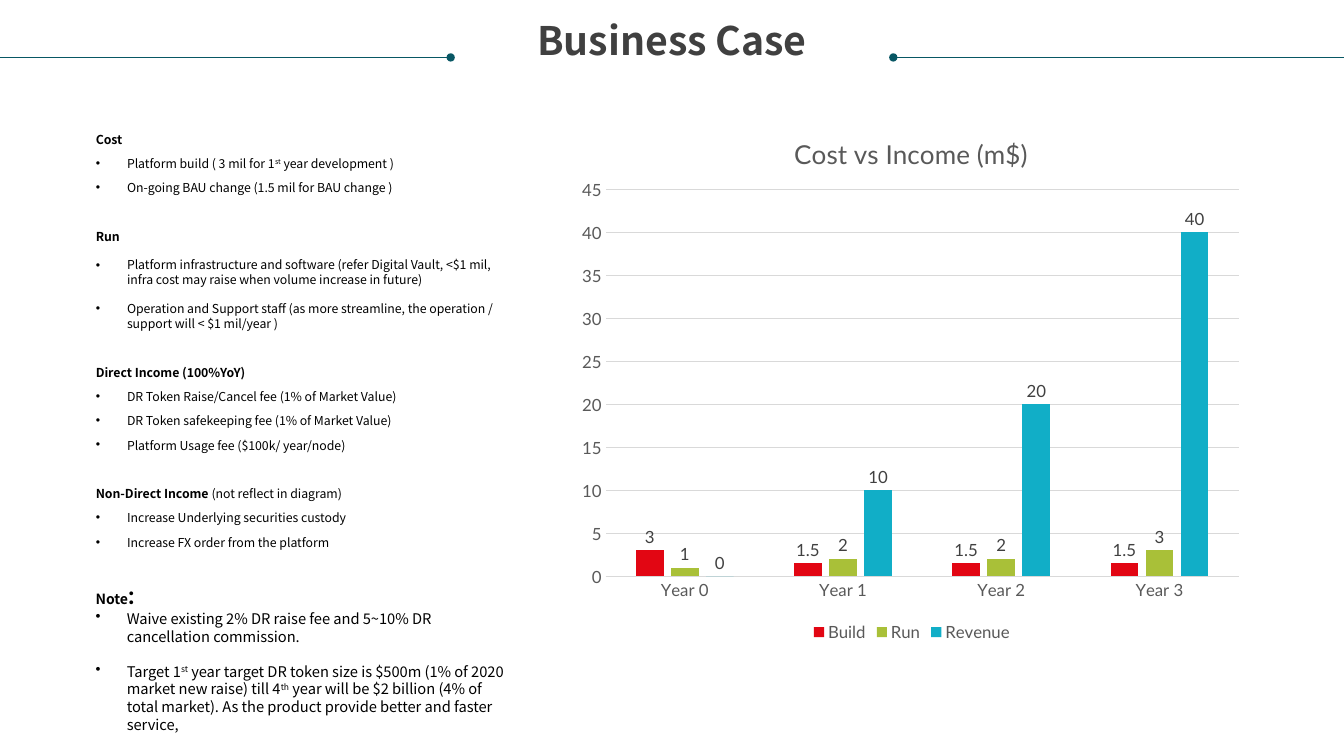
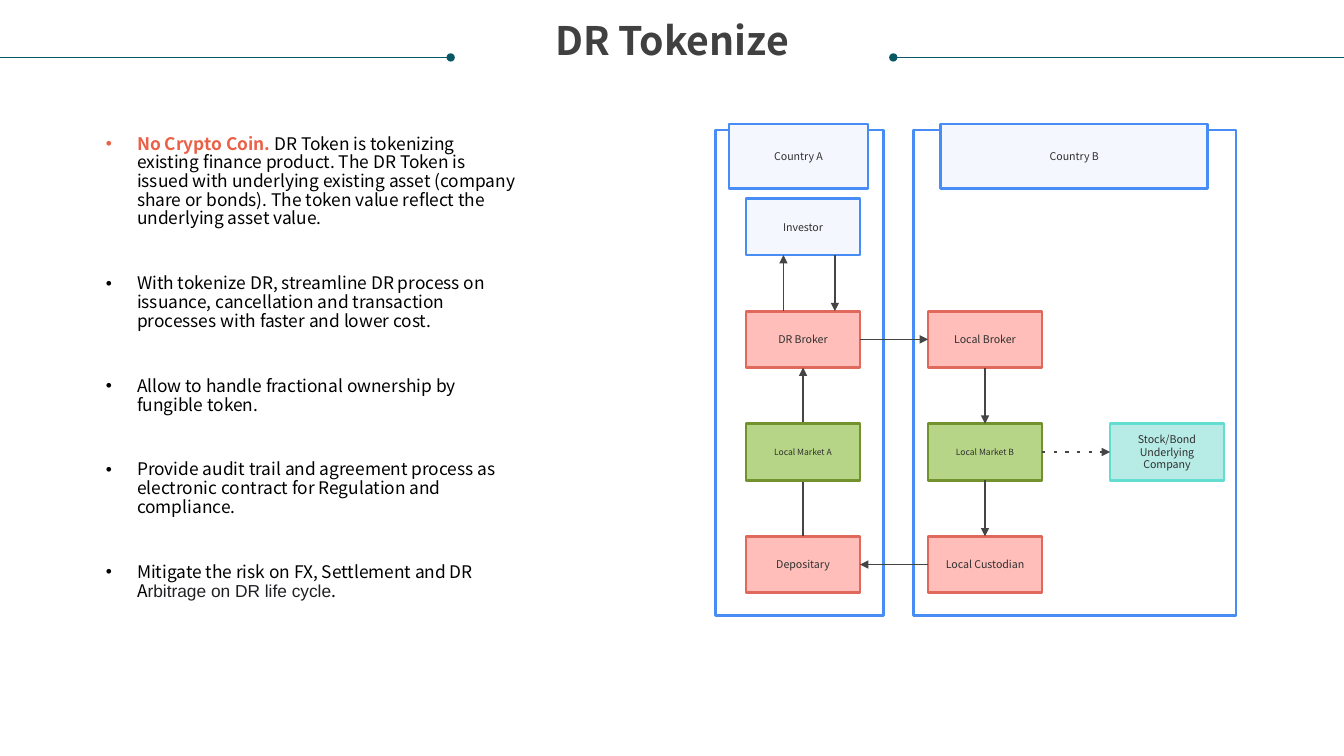
from dataclasses import dataclass
from typing import Optional

from lxml import etree
from pptx import Presentation
from pptx.chart.data import CategoryChartData
from pptx.dml.color import RGBColor
from pptx.enum.chart import XL_CHART_TYPE as ChartType
from pptx.enum.chart import XL_LABEL_POSITION as LabelPosition
from pptx.enum.chart import XL_LEGEND_POSITION as LegendPosition
from pptx.enum.chart import XL_TICK_MARK as TickMark
from pptx.enum.shapes import MSO_CONNECTOR as Connector
from pptx.enum.shapes import MSO_SHAPE as ShapeKind
from pptx.enum.text import MSO_ANCHOR as Anchor
from pptx.enum.text import MSO_AUTO_SIZE as AutoSize
from pptx.enum.text import PP_ALIGN as Align
from pptx.oxml.ns import qn
from pptx.util import Inches, Pt

TEXT_FONT = "Noto Sans CJK SC"
CHART_FONT = "Lato"
BLACK, TITLE_GREY, AXIS_GREY, GRID_GREY = "000000", "404040", "595959", "D9D9D9"
TEAL, CORAL, ARROW_GREY, NODE_TEXT = "085764", "EB6047", "454545", "303030"
BLUE = ("F4F7FE", "488DF5")
RED = ("FFBEB9", "E1695C")
GREEN = ("B7D587", "73922E")
AQUA = ("B7EBE5", "63DCD2")
TOP, LEFT, BOTTOM, RIGHT = range(4)
BULLET_INDENT = Inches(0.31)


@dataclass
class Run:
    text: str
    bold: bool = False
    color: str = BLACK
    font: str = TEXT_FONT
    size: Optional[float] = None
    superscript: bool = False


@dataclass
class Line:
    runs: list[Run]
    bullet: bool = True
    before: float = 10
    spacing: float = 1.0


@dataclass
class Node:
    name: str
    left: float
    top: float
    colors: tuple[str, str]
    width: float = 1.13
    height: float = 0.56
    size: float = 7.6


@dataclass
class Link:
    start: str
    start_side: int
    end: str
    end_side: int
    dashed: bool = False


def rgb(color: str) -> RGBColor:
    return RGBColor.from_string(color)


def style_font(font, *, size: float, color: str, name: str = TEXT_FONT, bold: bool = False) -> None:
    font.name, font.size, font.bold = name, Pt(size), bold
    font.color.rgb = rgb(color)


def add_text(paragraph, text: str, *, superscript: bool = False, **style) -> None:
    run = paragraph.add_run()
    run.text = text
    style_font(run.font, **style)
    if superscript:
        run.font._element.set("baseline", "30000")


def set_bullet(paragraph, bullet: bool) -> None:
    properties = paragraph._p.get_or_add_pPr()
    indent = BULLET_INDENT if bullet else 0
    properties.set("marL", str(indent))
    properties.set("indent", str(-indent))
    if bullet:
        etree.SubElement(properties, qn("a:buChar"), char="•")
    else:
        etree.SubElement(properties, qn("a:buNone"))


def fill_lines(frame, lines: list[Line], size: float) -> None:
    frame.word_wrap = True
    frame.auto_size = AutoSize.NONE
    frame.vertical_anchor = Anchor.TOP
    for index, line in enumerate(lines):
        paragraph = frame.add_paragraph() if index else frame.paragraphs[0]
        paragraph.alignment = Align.LEFT
        paragraph.line_spacing = line.spacing
        paragraph.space_before = Pt(line.before if index else 0)
        set_bullet(paragraph, line.bullet)
        for run in line.runs:
            add_text(paragraph, run.text, size=run.size or size, color=run.color,
                     name=run.font, bold=run.bold, superscript=run.superscript)


def place(shape, left: float, top: float, width: float, height: float) -> None:
    shape.left, shape.top = Inches(left), Inches(top)
    shape.width, shape.height = Inches(width), Inches(height)


def clear_margins(frame) -> None:
    frame.margin_left = frame.margin_right = frame.margin_top = frame.margin_bottom = 0


def add_line(slide, start: tuple[float, float], end: tuple[float, float], *, color: str,
             width: float, head: str = "", tail: str = "", dashed: bool = False):
    connector = slide.shapes.add_connector(Connector.STRAIGHT, *map(Inches, start + end))
    connector.line.color.rgb = rgb(color)
    connector.line.width = Pt(width)
    outline = connector.line._get_or_add_ln()
    if dashed:
        dashes = etree.SubElement(outline, qn("a:custDash"))
        etree.SubElement(dashes, qn("a:ds"), d="200000", sp="500000")
    for tag, kind in (("a:headEnd", head), ("a:tailEnd", tail)):
        if kind:
            etree.SubElement(outline, qn(tag), type=kind)
    etree.SubElement(connector._element.spPr, qn("a:effectLst"))
    return connector


def add_arrow(slide, start: tuple[float, float], end: tuple[float, float], dashed: bool = False):
    return add_line(slide, start, end, color=ARROW_GREY, width=1.2, tail="triangle", dashed=dashed)


def add_titled_slide(presentation, title: str):
    slide = presentation.slides.add_slide(presentation.slide_layouts[1])
    place(slide.shapes.title, 0.25, 0.21, 12.83, 0.42)
    frame = slide.shapes.title.text_frame
    clear_margins(frame)
    frame.auto_size = AutoSize.NONE
    frame.vertical_anchor = Anchor.TOP
    paragraph = frame.paragraphs[0]
    paragraph.alignment = Align.CENTER
    paragraph.line_spacing = 0.9
    add_text(paragraph, title, size=28, color=TITLE_GREY, bold=True)
    add_line(slide, (0, 0.57), (4.47, 0.57), color=TEAL, width=0.5, tail="oval")
    add_line(slide, (8.86, 0.57), (13.33, 0.57), color=TEAL, width=0.5, head="oval")
    return slide


def set_layout(element, index: int, **fractions: float) -> None:
    for old in element.findall(qn("c:layout")):
        element.remove(old)
    layout = etree.Element(qn("c:layout"))
    manual = etree.SubElement(layout, qn("c:manualLayout"))
    if "w" in fractions:
        etree.SubElement(manual, qn("c:layoutTarget"), val="inner")
    for axis in "xy":
        etree.SubElement(manual, qn(f"c:{axis}Mode"), val="edge")
    for key, value in fractions.items():
        etree.SubElement(manual, qn(f"c:{key}"), val=str(value))
    element.insert(index, layout)


def add_income_chart(slide) -> None:
    series = {
        "Build": ("E20613", (3, 1.5, 1.5, 1.5)),
        "Run": ("A9C038", (1, 2, 2, 3)),
        "Revenue": ("11AEC7", (0, 10, 20, 40)),
    }
    data = CategoryChartData()
    data.categories = [f"Year {year}" for year in range(4)]
    for name, (_, values) in series.items():
        data.add_series(name, values)
    area = map(Inches, (5.67, 1.08, 6.75, 5.33))
    chart = slide.shapes.add_chart(ChartType.COLUMN_CLUSTERED, *area, data).chart
    style_font(chart.font, size=12, color=AXIS_GREY, name=CHART_FONT)
    chart.has_title = True
    add_text(chart.chart_title.text_frame.paragraphs[0], "Cost vs Income (m$)",
             size=18.6, color=AXIS_GREY, name=CHART_FONT)
    chart.has_legend = True
    chart.legend.position = LegendPosition.BOTTOM
    chart.legend.include_in_layout = False
    style_font(chart.legend.font, size=12, color=AXIS_GREY, name=CHART_FONT)

    plot = chart.plots[0]
    plot.gap_width, plot.overlap, plot.vary_by_categories = 219, -27, False
    plot.has_data_labels = True
    plot.data_labels.show_value = True
    plot.data_labels.position = LabelPosition.OUTSIDE_END
    style_font(plot.data_labels.font, size=12, color=TITLE_GREY, name=CHART_FONT)
    for column, (color, _) in zip(plot.series, series.values()):
        column.format.fill.solid()
        column.format.fill.fore_color.rgb = rgb(color)

    for axis in (chart.category_axis, chart.value_axis):
        axis.major_tick_mark = axis.minor_tick_mark = TickMark.NONE
        style_font(axis.tick_labels.font, size=12, color=AXIS_GREY, name=CHART_FONT)
    values = chart.value_axis
    values.minimum_scale, values.maximum_scale, values.major_unit = 0, 45, 5
    values.format.line.fill.background()
    for line in (chart.category_axis.format.line, values.major_gridlines.format.line):
        line.color.rgb = rgb(GRID_GREY)
        line.width = Pt(0.75)
    set_layout(chart.chart_title._element, 1, x=0.32, y=0.04)
    set_layout(chart._chartSpace.chart.plotArea, 0, x=0.05, y=0.15, w=0.93, h=0.72)


def build_business_case(presentation) -> None:
    def heading(text: str, *more: Run) -> Line:
        return Line([Run(text, bold=True), *more], bullet=False, before=27.3, spacing=0.7)

    def item(*runs: Run, spacing: float = 0.7) -> Line:
        return Line(list(runs), spacing=spacing)

    slide = add_titled_slide(presentation, "Business Case")
    body = slide.placeholders[1]
    place(body, 0.85, 1.3, 4.3, 4.4)
    fill_lines(body.text_frame, [
        heading("Cost"),
        item(Run("Platform build ( 3 mil for 1"), Run("st", superscript=True), Run(" year development )")),
        item(Run("On-going BAU change (1.5 mil for BAU change )")),
        heading("Run"),
        item(Run("Platform infrastructure and software (refer Digital Vault, <$1 mil, "
                 "infra cost may raise when volume increase in future)"), spacing=1),
        item(Run("Operation and Support staff (as more streamline, the operation / "
                 "support will < $1 mil/year )"), spacing=1),
        heading("Direct Income (100%YoY)"),
        item(Run("DR Token Raise/Cancel fee (1% of Market Value)")),
        item(Run("DR Token safekeeping fee (1% of Market Value)")),
        item(Run("Platform Usage fee ($100k/ year/node)")),
        heading("Non-Direct Income", Run(" (not reflect in diagram)")),
        item(Run("Increase Underlying securities custody")),
        item(Run("Increase FX order from the platform")),
    ], 8.8)
    add_income_chart(slide)
    note = slide.shapes.add_textbox(*map(Inches, (0.85, 5.7, 4.3, 1.64)))
    fill_lines(note.text_frame, [
        Line([Run("Note", bold=True, size=10), Run(":", bold=True, size=18, font=CHART_FONT)], bullet=False),
        Line([Run("Waive existing 2% DR raise fee and 5~10% DR cancellation commission.")], before=0),
        Line([Run("Target 1"), Run("st", superscript=True),
              Run(" year target DR token size is $500m (1% of 2020 market new raise) till 4"),
              Run("th", superscript=True),
              Run(" year will be $2 billion (4% of total market). "
                  "As the product provide better and faster service,")], before=12.6),
    ], 10.5)


def add_box(slide, node: Node, filled: bool = True):
    shape = slide.shapes.add_shape(
        ShapeKind.RECTANGLE, *map(Inches, (node.left, node.top, node.width, node.height)))
    shape.shadow.inherit = False
    fill, outline = node.colors
    shape.line.color.rgb = rgb(outline)
    shape.line.width = Pt(2)
    if not filled:
        shape.fill.background()
        return shape
    shape.fill.solid()
    shape.fill.fore_color.rgb = rgb(fill)
    frame = shape.text_frame
    frame.word_wrap = True
    frame.vertical_anchor = Anchor.MIDDLE
    clear_margins(frame)
    for index, text in enumerate(node.name.split("\n")):
        paragraph = frame.add_paragraph() if index else frame.paragraphs[0]
        paragraph.alignment = Align.CENTER
        add_text(paragraph, text, size=node.size, color=NODE_TEXT)
    return shape


def add_token_flow(slide) -> None:
    columns = [7.4 + 1.805 * column for column in range(3)]
    rows = [1.97 + 1.117 * row for row in range(4)]
    for left, width in ((7.1, 1.66), (9.06, 3.2)):
        add_box(slide, Node("", left, 1.29, BLUE, width, 4.82), filled=False)
    nodes = [
        Node("Country A", 7.23, 1.23, BLUE, 1.38, 0.64),
        Node("Country B", 9.33, 1.23, BLUE, 2.65, 0.64),
        Node("Investor", columns[0], rows[0], BLUE),
        Node("DR Broker", columns[0], rows[1], RED),
        Node("Local Broker", columns[1], rows[1], RED),
        Node("Local Market B", columns[1], rows[2], GREEN, size=6.1),
        Node("Local Custodian", columns[1], rows[3], RED),
        Node("Depositary", columns[0], rows[3], RED),
        Node("Stock/Bond\nUnderlying\nCompany", columns[2], rows[2], AQUA),
    ]
    boxes = {node.name: add_box(slide, node) for node in nodes}
    for link in (
        Link("DR Broker", RIGHT, "Local Broker", LEFT),
        Link("Local Broker", BOTTOM, "Local Market B", TOP),
        Link("Local Market B", BOTTOM, "Local Custodian", TOP),
        Link("Local Custodian", LEFT, "Depositary", RIGHT),
        Link("Depositary", TOP, "DR Broker", BOTTOM),
        Link("Local Market B", RIGHT, nodes[-1].name, LEFT, dashed=True),
    ):
        arrow = add_arrow(slide, (0, 0), (1, 1), link.dashed)
        arrow.begin_connect(boxes[link.start], link.start_side)
        arrow.end_connect(boxes[link.end], link.end_side)
    add_arrow(slide, (7.77, rows[1]), (7.77, rows[0] + 0.56))
    add_arrow(slide, (8.28, rows[0] + 0.56), (8.28, rows[1]))
    add_box(slide, Node("Local Market A", columns[0], rows[2], GREEN, size=6.1))


def build_tokenize(presentation) -> None:
    slide = add_titled_slide(presentation, "DR Tokenize")
    body = slide.placeholders[1]
    place(body, 0.95, 1.29, 4.3, 4.82)
    points = [
        [Run("No Crypto Coin. ", bold=True, color=CORAL),
         Run("DR Token is tokenizing existing finance product. The DR Token is issued with underlying "
             "existing asset (company share or bonds). The token value reflect the underlying asset value.")],
        [Run("With tokenize DR, streamline DR process on issuance, cancellation and transaction "
             "processes with faster and lower cost.")],
        [Run("Allow to handle fractional ownership by fungible token.")],
        [Run("Provide audit trail and agreement process as electronic contract for Regulation and compliance.")],
        [Run("Mitigate the risk on FX, Settlement and DR A"),
         Run("rbitrage on DR life cycle", color="202124", font="Arial"), Run(".")],
    ]
    fill_lines(body.text_frame, [Line(runs, before=33, spacing=0.9) for runs in points], 12.4)
    add_token_flow(slide)


def main() -> None:
    presentation = Presentation()
    presentation.slide_width, presentation.slide_height = Inches(13.33), Inches(7.5)
    build_business_case(presentation)
    build_tokenize(presentation)
    presentation.save("out.pptx")


if __name__ == "__main__":
    main()
